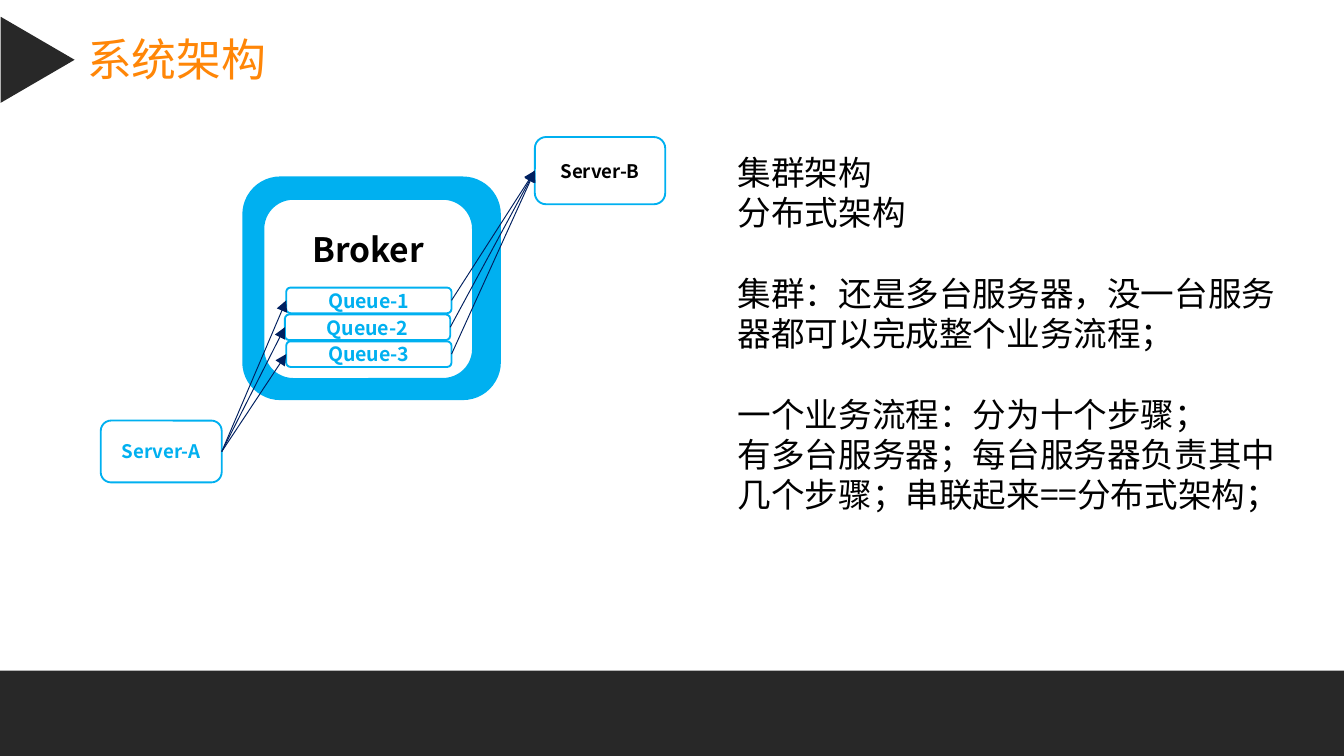
"""Build the system architecture slide with its broker diagram."""
from lxml.etree import SubElement
from pptx import Presentation
from pptx.dml.color import RGBColor
from pptx.enum.shapes import MSO_CONNECTOR as Link, MSO_SHAPE as Kind
from pptx.enum.text import MSO_ANCHOR as Anchor, PP_ALIGN as Align
from pptx.oxml.ns import qn
from pptx.util import Inches, Pt

DARK = RGBColor(0x28, 0x28, 0x28)
ORANGE = RGBColor(0xFF, 0x86, 0x07)
BLUE = RGBColor(0x00, 0xB0, 0xF0)
NAVY = RGBColor(0x00, 0x20, 0x60)
WHITE = RGBColor(0xFF, 0xFF, 0xFF)
BLACK = RGBColor(0, 0, 0)
SANS = "Noto Sans CJK SC"
NARROW = "Arial Narrow"


def write(para, text, size=18, color=BLACK, bold=False, face=SANS):
    run = para.add_run()
    run.text = text
    font = run.font
    font.size, font.bold, font.name = Pt(size), bold, face
    font.color.rgb = color
    SubElement(run._r.get_or_add_rPr(), qn("a:ea"), typeface=face)


class Deck:
    def __init__(self):
        self.show = Presentation()
        self.show.slide_width, self.show.slide_height = Inches(10), Inches(10 * 9 / 16)
        self.slide = self.show.slides.add_slide(self.show.slide_layouts[6])
        self.shapes = self.slide.shapes

    def shape(self, kind, box, fill=None, line=None):
        item = self.shapes.add_shape(kind, *map(Inches, box))
        item.shadow.inherit = False
        if fill is None:
            item.fill.background()
        else:
            item.fill.solid()
            item.fill.fore_color.rgb = fill
        if line is None:
            item.line.fill.background()
        else:
            item.line.color.rgb = line
            item.line.width = Pt(1)
        return item

    def label(self, box, text, size, color, fill=None, lift=0):
        frame = self.shape(Kind.ROUNDED_RECTANGLE, box, fill, BLUE).text_frame
        frame.margin_left = frame.margin_right = frame.margin_top = 0
        frame.margin_bottom = Inches(2 * lift)
        frame.vertical_anchor = Anchor.MIDDLE
        para = frame.paragraphs[0]
        para.alignment = Align.CENTER
        write(para, text, size, color, bold=True)

    def text(self, box, lines, gaps=(), pitch=None, **style):
        frame = self.shapes.add_textbox(*map(Inches, box)).text_frame
        frame.word_wrap = True
        for i, line in enumerate(lines):
            para = frame.add_paragraph() if i else frame.paragraphs[0]
            if pitch:
                para.line_spacing = Pt(pitch)
            if i in gaps:
                para.space_before = Pt(pitch)
            write(para, line, **style)

    def arrow(self, start, end):
        item = self.shapes.add_connector(Link.STRAIGHT, *map(Inches, start + end))
        item.line.color.rgb = NAVY
        item.line.width = Pt(0.5)
        SubElement(item.line._get_or_add_ln(), qn("a:tailEnd"), type="triangle")
        SubElement(item._element.spPr, qn("a:effectLst"))


def main():
    deck = Deck()
    deck.shape(Kind.RECTANGLE, (0, 4.99, 10, 0.64), DARK)
    deck.text((0.55, 0.19, 1.55, 0.5), ["系统架构"], size=24, color=ORANGE, face=NARROW)
    deck.shape(Kind.ISOSCELES_TRIANGLE, (-0.04, 0.17, 0.64, 0.55), DARK).rotation = 90

    deck.shape(Kind.ROUNDED_RECTANGLE, (1.81, 1.32, 1.91, 1.65), BLUE, BLUE)
    deck.label((0.75, 3.13, 0.9, 0.46), "Server-A", 10, BLUE)
    deck.label((3.98, 1.02, 0.97, 0.5), "Server-B", 10, BLACK)
    deck.label((1.96, 1.48, 1.56, 1.34), "Broker", 18, BLACK, WHITE, lift=0.3)

    wide, high, step = 1.23, 0.19, 0.2
    queues = [(left, 2.14 + step * i) for i, left in enumerate((2.13, 2.12, 2.13))]
    for i, (left, top) in enumerate(queues, 1):
        deck.label((left, top, wide, high), f"Queue-{i}", 10.5, BLUE)
    for left, top in queues:
        mid = top + high / 2
        deck.arrow((1.65, 3.36), (left, mid))
        deck.arrow((left + wide, mid), (3.98, 1.27))

    deck.text((5.39, 1.08, 4.33, 2.83), [
        "集群架构",
        "分布式架构",
        "集群：还是多台服务器，没一台服务器都可以完成整个业务流程；",
        "一个业务流程：分为十个步骤；",
        "有多台服务器；每台服务器负责其中几个步骤；串联起来==分布式架构；",
    ], gaps=(2, 3), pitch=21.6)
    deck.show.save("out.pptx")


if __name__ == "__main__":
    main()
